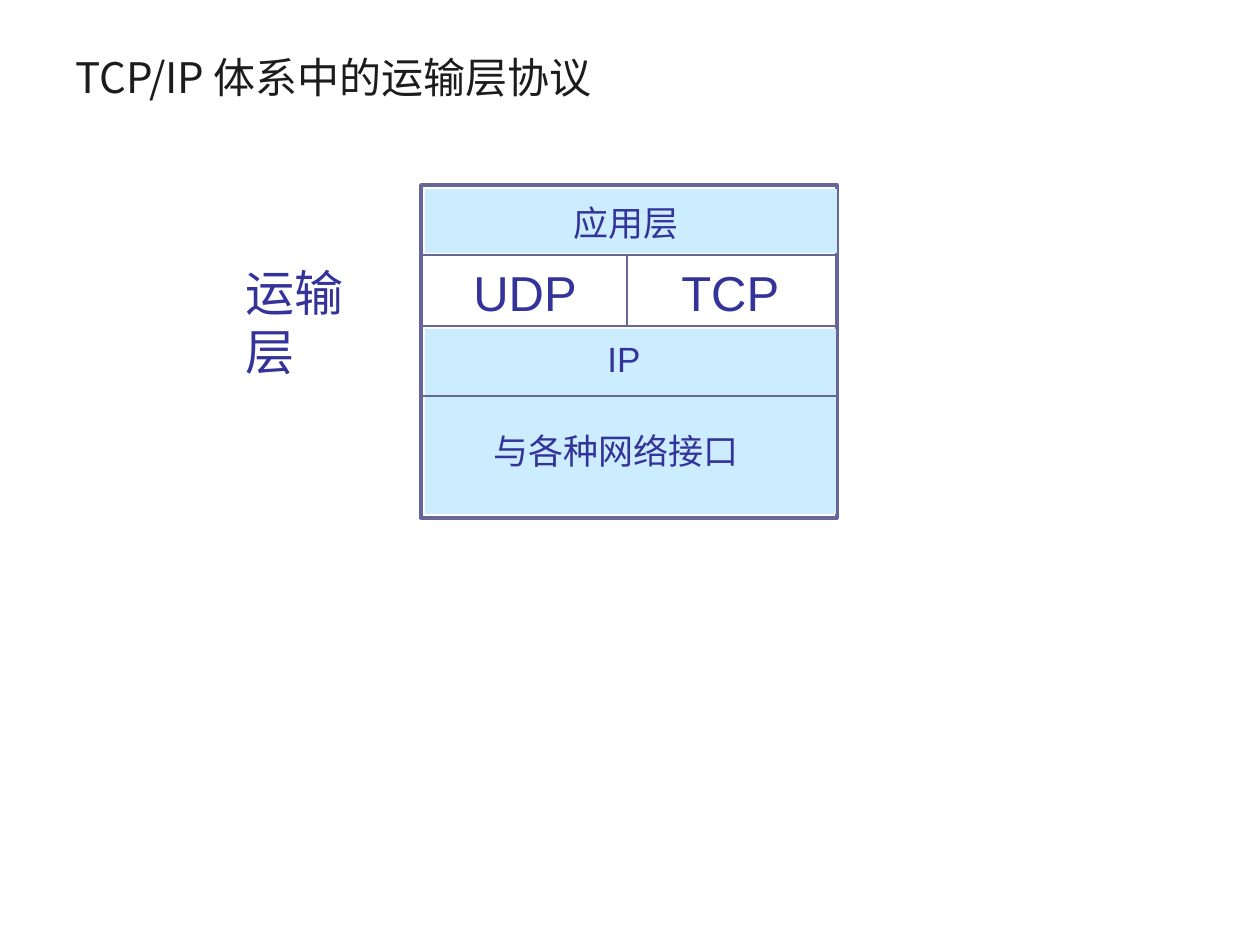
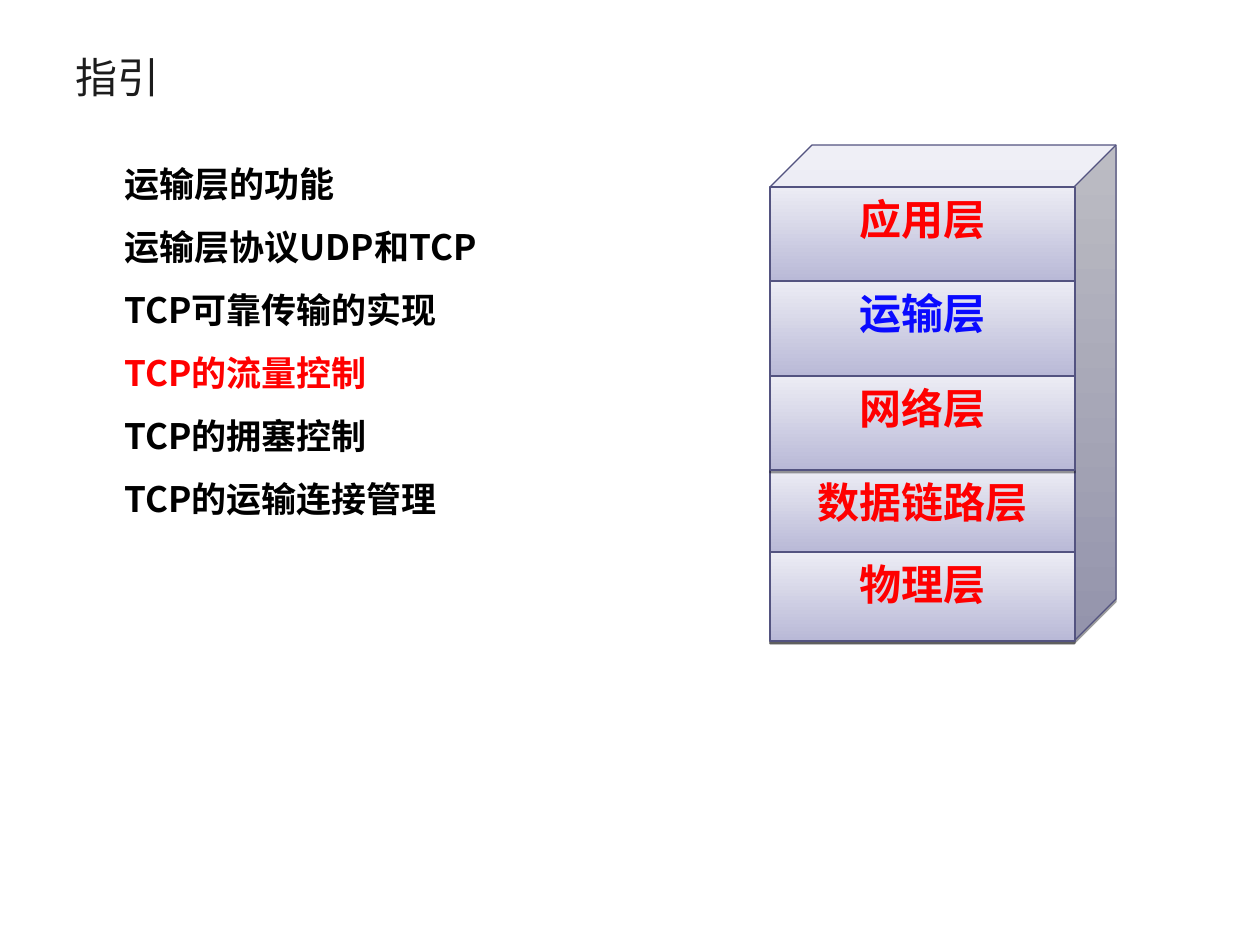
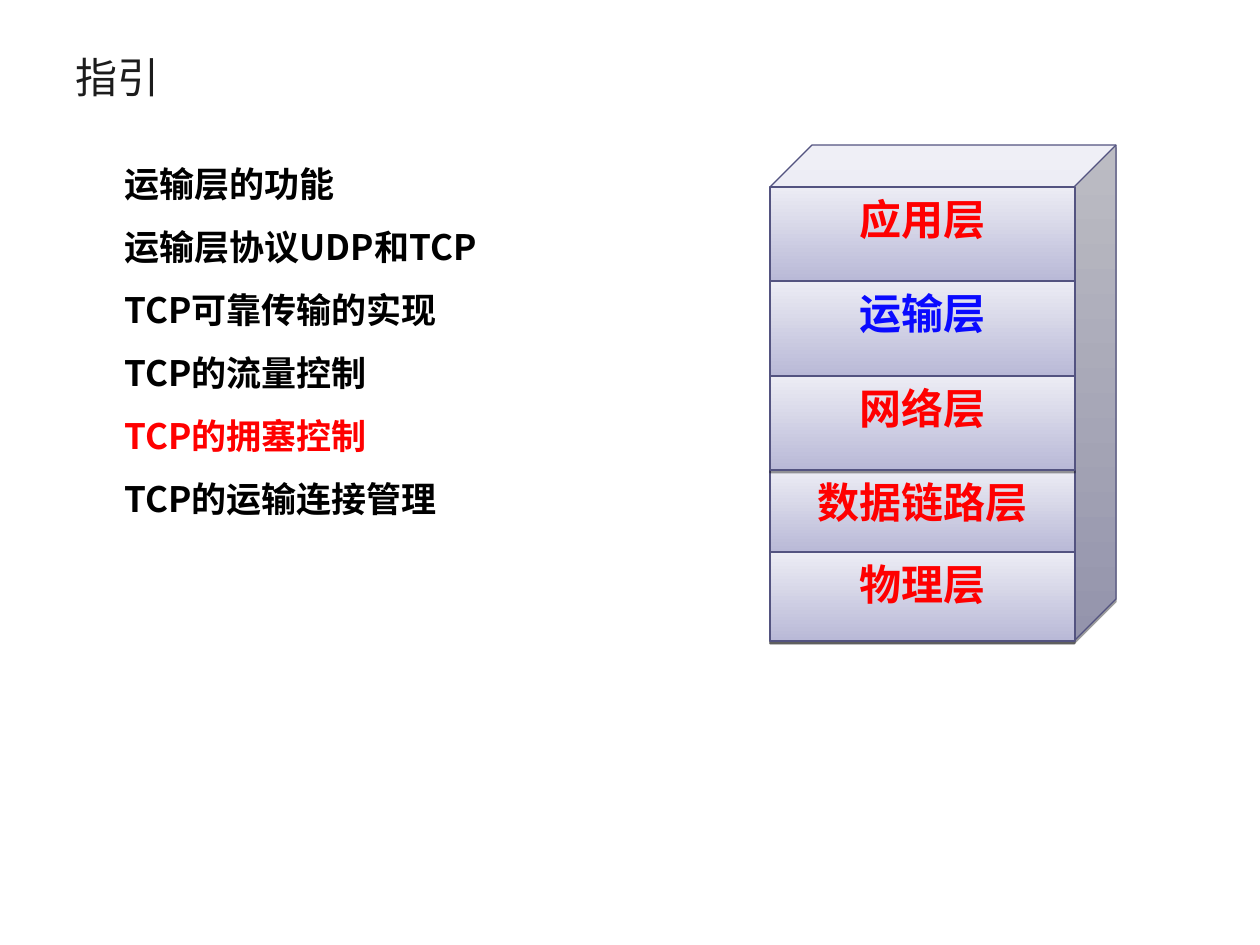
"""Build three slides on the transport layer: its protocol stack and two topic guides."""
from lxml import etree
from pptx import Presentation
from pptx import util as u
from pptx.dml.color import RGBColor
from pptx.enum import shapes, text
from pptx.oxml import ns

PX = 914400 / 126
COLORS = {
    "title": "1C1C1C", "body": "000000", "highlight": "FF0000", "current": "0A0AFF",
    "label": "333399", "rule": "666699", "band": "CCECFF", "paper": "FFFFFF",
    "edge": "535380", "shade": "B9B9D7", "light": "ECECF4",
}
SANS, LATIN, ROUND, GROTESK = "Noto Sans CJK SC", "Arial", "Roboto", "Karla"
TITLE_BOX = (63, 38, 1134, 77)
TOPICS_BOX = (63, 135, 1134, 659)
PROTOCOL_BOX = (421, 185, 416, 333)
STACK_BOX = (770, 145, 346, 496)
TOPICS = ["运输层的功能", "运输层协议UDP和TCP", "TCP可靠传输的实现",
          "TCP的流量控制", "TCP的拥塞控制", "TCP的运输连接管理"]


def emu(*lengths):
    """Turn px lengths into EMU."""
    return [round(length * PX) for length in lengths]


def rgb(name):
    """Look up a named colour."""
    return RGBColor.from_string(COLORS[name])


def style(paragraph, size, font, color, bold=False):
    """Format every run of a paragraph."""
    for run in paragraph.runs:
        run.font.size, run.font.bold, run.font.name = u.Pt(size), bold, font
        run.font.color.rgb = rgb(color)
        latin = run.font._element.find(ns.qn("a:latin"))
        east_asian = etree.Element(ns.qn("a:ea"), typeface=font)
        latin.addnext(east_asian)


def add_text(slide, box, words, size, font, color, wrap=True):
    """Add a one-line text box."""
    area = slide.shapes.add_textbox(*emu(*box))
    frame = area.text_frame
    frame.text, frame.word_wrap = words, wrap
    style(frame.paragraphs[0], size, font, color)
    return area


def add_title(slide, words):
    """Add the slide title."""
    title = add_text(slide, TITLE_BOX, words, 24, SANS, "title")
    title.text_frame.vertical_anchor = text.MSO_ANCHOR.MIDDLE


def add_rule(parts, x1, y1, x2, y2, color, width):
    """Draw a straight line without a shadow."""
    rule = parts.add_connector(shapes.MSO_CONNECTOR.STRAIGHT, *emu(x1, y1, x2, y2))
    rule.line.color.rgb, rule.line.width = rgb(color), u.Pt(width)
    etree.SubElement(rule._element.spPr, ns.qn("a:effectLst"))


def add_panel(slide, box, fill, border=None):
    """Add a flat rectangle with an optional border."""
    panel = slide.shapes.add_shape(shapes.MSO_SHAPE.RECTANGLE, *emu(*box))
    panel.shadow.inherit = False
    panel.fill.solid()
    panel.fill.fore_color.rgb = rgb(fill)
    if border:
        panel.line.color.rgb, panel.line.width = rgb(border), u.Pt(2)
    else:
        panel.line.fill.background()


def add_protocols(slide, box):
    """Draw the protocol stack with its labels."""
    left, top, width, height = box
    add_panel(slide, box, "paper", "rule")
    for y, band_width, band_height in [(4, 412, 64), (144, 411, 185)]:
        add_panel(slide, (left + 4, top + y, band_width, band_height), "band")
    for y in (70, 141, 211):
        add_rule(slide.shapes, left, top + y, left + width, top + y, "rule", 1)
    middle = left + 206
    add_rule(slide.shapes, middle, top + 70, middle, top + 141, "rule", 1)
    labels = [
        ("TCP", 248, 71, 123, 71, 28, LATIN),
        ("UDP", 40, 71, 129, 71, 28, LATIN),
        ("IP", 174, 146, 58, 54, 20, LATIN),
        ("应用层", 140, 10, 130, 54, 20, LATIN),
        ("与各种网络接口", 60, 238, 318, 54, 20, LATIN),
        ("运输层", -188, 71, 171, 72, 28, ROUND),
    ]
    for words, x, y, label_width, label_height, size, font in labels:
        label = add_text(slide, (left + x, top + y, label_width, label_height),
                         words, size, font, "label", wrap=False)
        if words == "IP":
            label.fill.solid()
            label.fill.fore_color.rgb = rgb("band")


def add_topics(slide, box, current):
    """List the topics and highlight the current one."""
    frame = slide.shapes.add_textbox(*emu(*box)).text_frame
    frame.text, frame.word_wrap = "\n".join(TOPICS), True
    margin, indent = emu(48, 1)
    for number, topic in enumerate(frame.paragraphs):
        topic.line_spacing = 1.5
        properties = topic._p.get_or_add_pPr()
        properties.set("marL", str(margin))
        properties.set("indent", str(indent))
        style(topic, 20, SANS, "highlight" if number == current else "body", True)


def add_block(parts, kind, box):
    """Add a shaded block with a thin drop shadow."""
    block = parts.add_shape(kind, *emu(*box))
    block.fill.gradient()
    block.fill.gradient_angle = 90
    for stop, color in zip(block.fill.gradient_stops, ("shade", "light")):
        stop.color.rgb = rgb(color)
    block.line.color.rgb, block.line.width = rgb("edge"), u.Pt(0.75)
    block.shadow.inherit = False
    effects = block._element.spPr.find(ns.qn("a:effectLst"))
    shadow = etree.SubElement(effects, ns.qn("a:outerShdw"), blurRad="0",
                              dist=str(u.Pt(1.6)), dir="5400000", rotWithShape="0")
    black = etree.SubElement(shadow, ns.qn("a:srgbClr"), val=COLORS["body"])
    etree.SubElement(black, ns.qn("a:alpha"), val="38000")
    return block


def add_layer_stack(slide, box):
    """Draw the five network layers on the front of a cube."""
    left, top, width, height = box
    depth = 42
    right = left + width - depth + 1
    parts = slide.shapes.add_group_shape().shapes
    cube = add_block(parts, shapes.MSO_SHAPE.CUBE, box)
    cube.adjustments[0] = depth / width
    layers = [
        ("应用层", depth, 136, 136, SANS, "highlight"),
        ("运输层", 136, 231, 231, SANS, "current"),
        ("数据链路层", 325, 407, 472, GROTESK, "highlight"),
        ("网络层", 231, 325, 325, GROTESK, "highlight"),
        ("物理层", 407, height, None, GROTESK, "highlight"),
    ]
    for words, start, end, frame_end, font, color in layers:
        layer = add_block(parts, shapes.MSO_SHAPE.RECTANGLE,
                          (left, top + start, right - left, end - start))
        layer.text_frame.text = words
        layer.text_frame.vertical_anchor = text.MSO_ANCHOR.TOP
        name = layer.text_frame.paragraphs[0]
        name.alignment = text.PP_ALIGN.CENTER
        style(name, 24, font, color, True)
        if frame_end:
            bottom = top + frame_end
            add_rule(parts, left, bottom, right, bottom, "edge", 0.75)
            for x in (left, right):
                add_rule(parts, x, top + start, x, bottom, "edge", 0.75)


def protocol_slide(slide):
    """Fill the slide on the transport protocols."""
    add_title(slide, "TCP/IP 体系中的运输层协议")
    add_protocols(slide, PROTOCOL_BOX)


def guide_slide(slide, current):
    """Fill a guide slide with topics and the layer stack."""
    add_title(slide, "指引")
    add_topics(slide, TOPICS_BOX, current)
    add_layer_stack(slide, STACK_BOX)


def main():
    """Build and save the slides."""
    deck = Presentation()
    deck.slide_width, deck.slide_height = emu(1260, 945)
    blank = deck.slide_layouts[6]
    protocol_slide(deck.slides.add_slide(blank))
    for current in (3, 4):
        guide_slide(deck.slides.add_slide(blank), current)
    deck.save("out.pptx")


if __name__ == "__main__":
    main()
